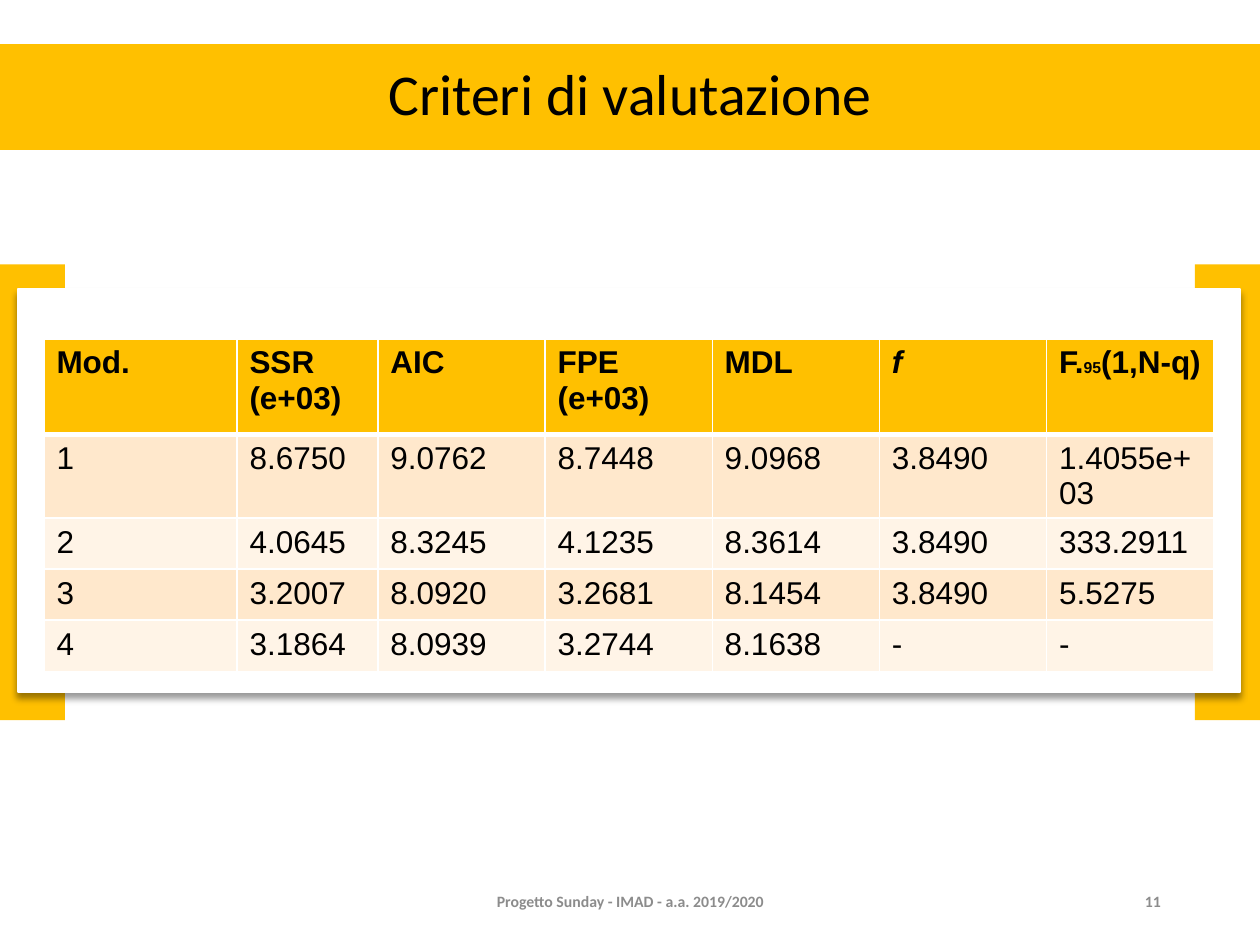
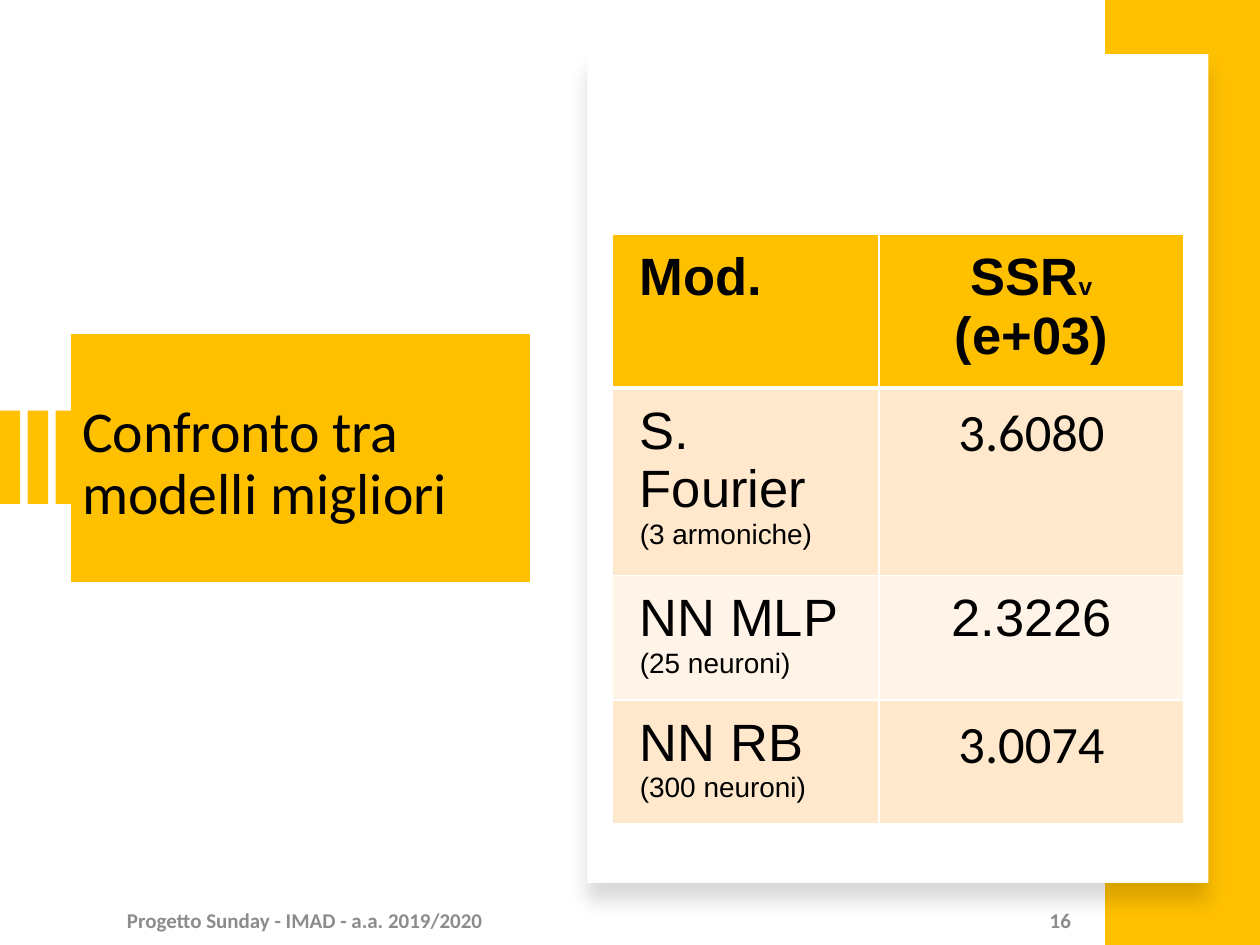
import pptx
import pptx.dml.color
import pptx.enum.shapes
import pptx.enum.text
import pptx.oxml
import pptx.oxml.ns
import pptx.util
from pptx.util import Cm, Pt

HUES = {
    "gold": "FFC000",
    "white": "FFFFFF",
    "black": "000000",
    "grey": "8C8C8C",
    "dark": "FFE8CC",
    "light": "FFF4E7",
}
HEAD, BODY = "Calibri", "Arial"
NOTE = "Progetto Sunday - IMAD - a.a. 2019/2020"
WIDE, HIGH = 25.4, 19.05
LEFT, MID, RIGHT = (pptx.enum.text.PP_ALIGN.LEFT,
                    pptx.enum.text.PP_ALIGN.CENTER,
                    pptx.enum.text.PP_ALIGN.RIGHT)


def hue(name):
    return pptx.dml.color.RGBColor.from_string(HUES[name])


def node(text):
    """Turn markup into an element of the drawing namespace."""
    return pptx.oxml.parse_xml(
        text.replace(">", f" {pptx.oxml.ns.nsdecls('a')}>", 1))


class Deck:
    def __init__(self):
        self.show = pptx.Presentation()
        self.show.slide_width, self.show.slide_height = Cm(WIDE), Cm(HIGH)
        self.slide = None

    def page(self):
        self.slide = self.show.slides.add_slide(self.show.slide_layouts[5])

    def words(self, para, runs, **base):
        """Add runs to a paragraph: a string, or (text, changes) pairs."""
        if isinstance(runs, str):
            runs = [(runs, {})]
        for text, change in runs:
            look = {"font": BODY, "tint": "black", "bold": False, **base, **change}
            run = para.add_run()
            run.text = text
            run.font.name = look["font"]
            run.font.size = Pt(look["size"])
            run.font.bold = look["bold"]
            run.font.italic = look.get("slant", False)
            run.font.color.rgb = hue(look["tint"])

    def title(self, text, box, align, drop=0.13):
        shape = self.slide.shapes.title
        shape.left, shape.top, shape.width, shape.height = map(Cm, box)
        shape.fill.solid()
        shape.fill.fore_color.rgb = hue("gold")
        frame = shape.text_frame
        frame.auto_size = pptx.enum.text.MSO_AUTO_SIZE.NONE
        frame.vertical_anchor = pptx.enum.text.MSO_ANCHOR.MIDDLE
        frame.margin_top = Cm(drop)
        para = frame.paragraphs[0]
        para.alignment, para.line_spacing = align, 0.9
        self.words(para, text, font=HEAD, size=33)
        return shape

    def block(self, box, tint="gold"):
        shape = self.slide.shapes.add_shape(
            pptx.enum.shapes.MSO_SHAPE.RECTANGLE, *map(Cm, box))
        shape.shadow.inherit = False
        shape.fill.solid()
        shape.fill.fore_color.rgb = hue(tint)
        shape.line.fill.background()
        return shape

    def card(self, box, alpha, blur, dist):
        """Draw a white panel with a soft shadow below it."""
        shape = self.block(box, "white")
        glow = shape.element.spPr.find(pptx.oxml.ns.qn("a:effectLst"))
        glow.append(node(
            f'<a:outerShdw blurRad="{Pt(blur)}" dist="{Pt(dist)}" dir="5400000" '
            f'algn="t" rotWithShape="0"><a:srgbClr val="{HUES["black"]}">'
            f'<a:alpha val="{alpha * 1000}"/></a:srgbClr></a:outerShdw>'))
        return shape

    def label(self, text, box, align, size):
        frame = self.slide.shapes.add_textbox(*map(Cm, box)).text_frame
        frame.word_wrap = True
        frame.vertical_anchor = pptx.enum.text.MSO_ANCHOR.MIDDLE
        para = frame.paragraphs[0]
        para.alignment = align
        self.words(para, text, font=HEAD, size=size, tint="grey", bold=True)

    def edge(self, cell, row):
        for side in "LRTB":
            thick = (row, side) in ((0, "B"), (1, "T"))
            cell._tc.get_or_add_tcPr().append(node(
                f'<a:ln{side} w="{Pt(3 if thick else 1)}"><a:solidFill>'
                f'<a:srgbClr val="{HUES["white"]}"/></a:solidFill></a:ln{side}>'))

    def table(self, rows, spot, wides, highs, size, aligns, pad):
        """Draw a table; a cell is a string or a list of paragraphs."""
        grid = self.slide.shapes.add_table(
            len(rows), len(wides), *map(Cm, spot),
            Cm(sum(wides)), Cm(sum(highs))).table
        for col, wide in zip(grid.columns, wides):
            col.width = Cm(wide)
        for r, (row, high) in enumerate(zip(rows, highs)):
            grid.rows[r].height = Cm(high)
            for c, paras in enumerate(row):
                cell = grid.cell(r, c)
                self.edge(cell, r)
                cell.fill.solid()
                cell.fill.fore_color.rgb = hue(
                    "gold" if r == 0 else "dark" if r % 2 else "light")
                cell.margin_left = cell.margin_right = Cm(pad[0])
                cell.margin_top = cell.margin_bottom = Cm(pad[1])
                frame = cell.text_frame
                for n, runs in enumerate([paras] if isinstance(paras, str) else paras):
                    para = frame.add_paragraph() if n else frame.paragraphs[0]
                    para.alignment = aligns[c]
                    self.words(para, runs, size=size, bold=r == 0)


def scores(deck):
    deck.page()
    deck.title("Criteri di valutazione", (0, 0.89, WIDE, 2.13), MID)
    side = 1.31
    for left in (0, WIDE - side):
        deck.block((left, 5.33, side, 9.19))
    card = deck.card((0.36, 5.82, 24.64, 8.13), 40, 4, 3)
    card.line.color.rgb, card.line.width = hue("white"), Pt(1)
    rows = [
        ["Mod.", "SSR (e+03)", "AIC", "FPE (e+03)", "MDL",
         [[("f", {"slant": True})]],
         [[("F.", {}), ("95", {"size": 9}), ("(1,N-q)", {})]]],
        ["1", "8.6750", "9.0762", "8.7448", "9.0968", "3.8490", "1.4055e+03"],
        ["2", "4.0645", "8.3245", "4.1235", "8.3614", "3.8490", "333.2911"],
        ["3", "3.2007", "8.0920", "3.2681", "8.1454", "3.8490", "5.5275"],
        ["4", "3.1864", "8.0939", "3.2744", "8.1638", "-", "-"],
    ]
    deck.table(rows, (0.89, 6.83), [3.89, 2.84] + [3.37] * 5,
               [1.93] + [1.03] * 4, 18, [LEFT] * 7, (0.25, 0.13))
    deck.label(NOTE, (8.41, 17.65, 8.59, 1.02), MID, 9)
    deck.label("11", (17.93, 17.65, 5.72, 1.02), RIGHT, 9)


def models(deck):
    deck.page()
    title = deck.title("Confronto tra modelli migliori",
                       (1.4, 6.71, 9.32, 5.05), LEFT, 0.4)
    title.line.color.rgb, title.line.width = hue("white"), Pt(1.5)
    for n in range(3):
        deck.block((0.56 * n, 8.28, 0.41, 1.88))
    deck.block((22.28, 0, WIDE - 22.28, HIGH))
    deck.card((11.84, 1.09, 12.52, 16.71), 15, 11, 10)
    deck.label(NOTE, (2.31, 18.03, 7.85, 1.02), LEFT, 12)
    deck.label("16", (17.93, 18.03, 3.91, 1.02), RIGHT, 12)
    rows = [["Mod.", [[("SSR", {}), ("v", {"size": 14}), (" (e+03)", {})]]]]
    for name, note, value, font in (
            ("S. Fourier", "(3 armoniche)", "3.6080", HEAD),
            ("NN MLP", "(25 neuroni)", "2.3226", BODY),
            ("NN RB", "(300 neuroni)", "3.0074", HEAD)):
        rows.append([[name, [(note, {"size": 16})]],
                     [[(value, {"font": font})]]])
    deck.table(rows, (12.34, 4.72), [5.38, 6.15], [1.85] + [2.29] * 3,
               30, [LEFT, MID], (0.56, 0.28))


def main():
    deck = Deck()
    scores(deck)
    models(deck)
    deck.show.save("out.pptx")


if __name__ == "__main__":
    main()
